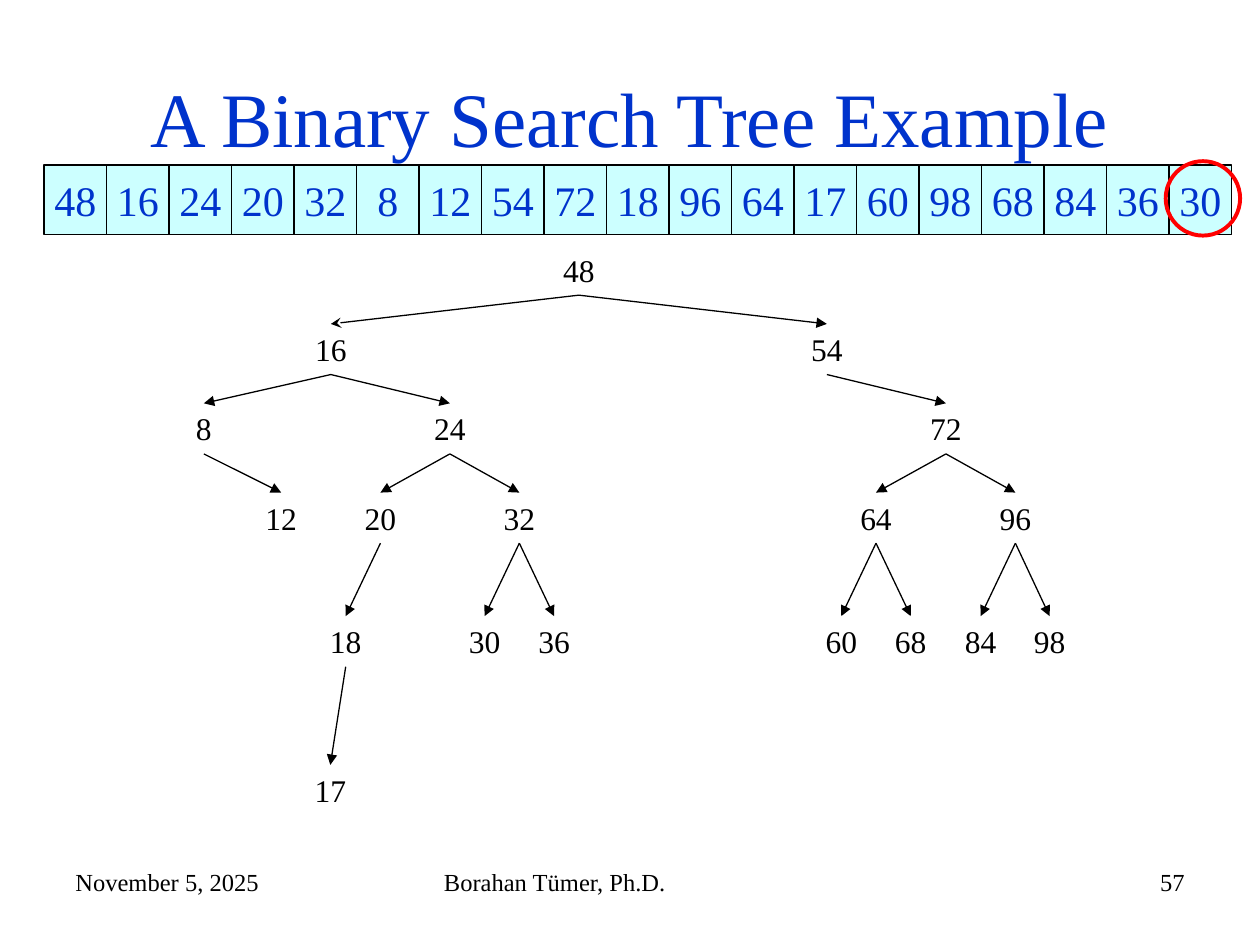
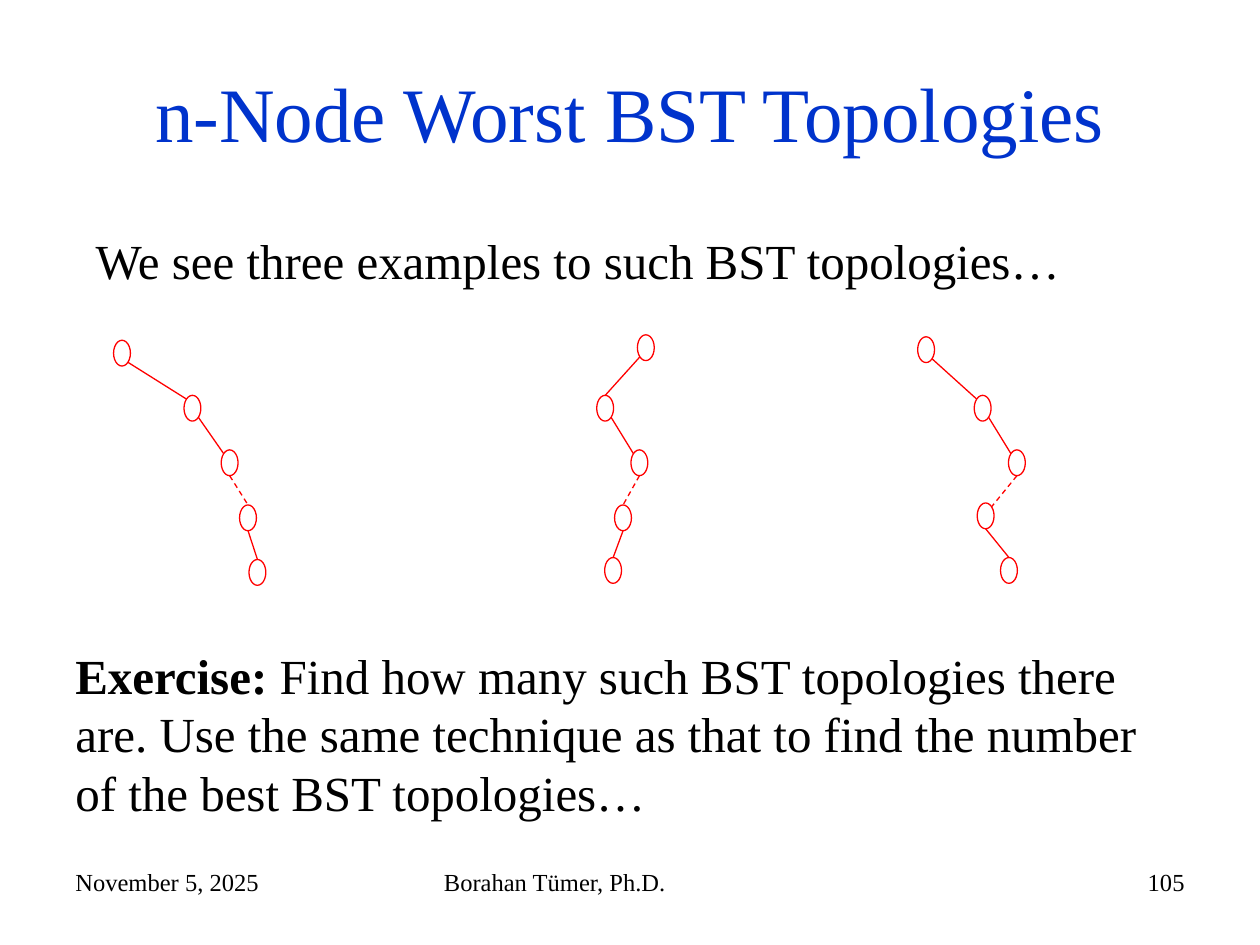
from lxml.etree import SubElement
from pptx import Presentation
from pptx.dml.color import RGBColor
from pptx.enum.dml import MSO_LINE
from pptx.enum.shapes import MSO_CONNECTOR, MSO_SHAPE
from pptx.enum.text import MSO_ANCHOR, PP_ALIGN
from pptx.oxml.ns import qn
from pptx.util import Cm, Pt

BLUE = RGBColor(0x00, 0x33, 0xCC)
CYAN = RGBColor(0xCC, 0xFF, 0xFF)
RED = RGBColor(0xFF, 0x00, 0x00)
BLACK = RGBColor(0x00, 0x00, 0x00)
WHITE = RGBColor(0xFF, 0xFF, 0xFF)
FONT = "Times New Roman"

KEYS = [48, 16, 24, 20, 32, 8, 12, 54, 72, 18, 96, 64, 17, 60, 98, 68, 84, 36, 30]
KEY_CENTERS = {
    48: 11.67, 16: 6.67, 54: 16.67, 8: 4.11, 24: 9.07, 72: 19.07, 12: 5.67,
    20: 7.67, 32: 10.47, 64: 17.66, 96: 20.47, 18: 6.97, 30: 9.77, 36: 11.17,
    60: 16.96, 68: 18.36, 84: 19.77, 98: 21.16, 17: 6.66,
}
LEVEL_TOPS = [4.93, 6.53, 8.13, 9.93, 12.42, 15.42]
KEY_WIDTH, KEY_HEIGHT = 1.14, 1.02
CELL_LEFT, CELL_TOP, CELL_WIDTH, CELL_HEIGHT = 0.89, 3.33, 1.26, 1.4

NODE_WIDTH, NODE_HEIGHT = 0.34, 0.52
TOP, BOTTOM = (0, -1), (0, 1)
UPPER_LEFT, UPPER_RIGHT = (-0.71, -0.71), (0.71, -0.71)
LOWER_LEFT, LOWER_RIGHT = (-0.71, 0.71), (0.71, 0.71)
DOWN_RIGHT = (LOWER_RIGHT, UPPER_LEFT)
STRAIGHT_DOWN = (BOTTOM, TOP)
DASHED_LINK = 2
CHAINS = [
    ([(2.46, 7.12), (3.88, 8.23), (4.63, 9.33), (5, 10.44), (5.19, 11.54)],
     [DOWN_RIGHT, DOWN_RIGHT, STRAIGHT_DOWN, STRAIGHT_DOWN]),
    ([(13.02, 7.01), (12.2, 8.23), (12.89, 9.33), (12.56, 10.44), (12.36, 11.5)],
     [(LOWER_LEFT, TOP), DOWN_RIGHT, STRAIGHT_DOWN, STRAIGHT_DOWN]),
    ([(18.67, 7.05), (19.81, 8.23), (20.5, 9.33), (19.87, 10.4), (20.34, 11.5)],
     [DOWN_RIGHT, DOWN_RIGHT, (BOTTOM, UPPER_RIGHT), STRAIGHT_DOWN]),
]


def write_runs(shape, runs, size, color=BLACK, align=PP_ALIGN.LEFT,
               anchor=MSO_ANCHOR.TOP, wrap=True):
    """Fill the text frame of a shape with (text, bold) runs."""
    frame = shape.text_frame
    frame.word_wrap = wrap
    frame.vertical_anchor = anchor
    paragraph = frame.paragraphs[0]
    paragraph.alignment = align
    for text, bold in runs:
        run = paragraph.add_run()
        run.text = text
        run.font.name = FONT
        run.font.size = Pt(size)
        run.font.bold = bold
        run.font.color.rgb = color


def add_text(slide, left, top, width, height, runs, size, **style):
    """Add a text box and return it."""
    box = slide.shapes.add_textbox(Cm(left), Cm(top), Cm(width), Cm(height))
    write_runs(box, runs, size, **style)
    return box


def add_outlined(slide, kind, left, top, width, height, line_color, fill=None, weight=0.75):
    """Add a preset shape with an outline and an optional fill."""
    shape = slide.shapes.add_shape(kind, Cm(left), Cm(top), Cm(width), Cm(height))
    shape.shadow.inherit = False
    if fill is None:
        shape.fill.background()
    else:
        shape.fill.solid()
        shape.fill.fore_color.rgb = fill
    shape.line.color.rgb = line_color
    shape.line.width = Pt(weight)
    return shape


def add_line(slide, color, start=(0, 0), end=(0, 0)):
    """Add a thin straight connector without a shadow."""
    ends = [Cm(value) for value in (*start, *end)]
    connector = slide.shapes.add_connector(MSO_CONNECTOR.STRAIGHT, *ends)
    connector.line.color.rgb = color
    connector.line.width = Pt(0.75)
    SubElement(connector.element.spPr, qn("a:effectLst"))
    return connector


def add_arrow(slide, parent_box, child_box, head):
    """Join the bottom of one box to the top of another with an arrow."""
    arrow = add_line(slide, BLACK)
    arrow.begin_connect(parent_box, 2)
    arrow.end_connect(child_box, 0)
    SubElement(arrow.line._get_or_add_ln(), qn("a:tailEnd"), type=head)


def add_frame(presentation, title, title_top, number):
    """Add a slide with its title and footer."""
    slide = presentation.slides.add_slide(presentation.slide_layouts[6])
    add_text(slide, 1.27, title_top, 22.86, 3.18, [(title, False)], 44,
             color=BLUE, align=PP_ALIGN.CENTER, anchor=MSO_ANCHOR.MIDDLE)
    footers = [
        (1.27, 5.92, "November 5, 2025", PP_ALIGN.LEFT),
        (8.7, 8.05, "Borahan Tümer, Ph.D.", PP_ALIGN.LEFT),
        (18.21, 5.92, str(number), PP_ALIGN.RIGHT),
    ]
    for left, width, text, align in footers:
        add_text(slide, left, 17.35, width, 1.32, [(text, False)], 14, align=align)
    return slide


def add_key_row(slide):
    """Draw the keys as a row of cells and circle the last one."""
    for index, key in enumerate(KEYS):
        cell = add_outlined(slide, MSO_SHAPE.RECTANGLE, CELL_LEFT + index * CELL_WIDTH,
                            CELL_TOP, CELL_WIDTH, CELL_HEIGHT, BLACK, CYAN)
        write_runs(cell, [(str(key), False)], 24, color=BLUE, align=PP_ALIGN.CENTER,
                   anchor=MSO_ANCHOR.MIDDLE, wrap=False)
    add_outlined(slide, MSO_SHAPE.OVAL, 23.5, 3.25, 1.5, 1.5, RED, weight=2.25)


def find_parents(keys):
    """Insert keys into a binary search tree and map each to its parent and level."""
    children, places = {}, {}
    for key in keys:
        parent, level, current = None, 0, keys[0]
        while current in places:
            parent, level = current, level + 1
            current = children.get((parent, key > parent))
        children[parent, parent is not None and key > parent] = key
        places[key] = (parent, level)
    return places


def add_search_tree(slide):
    """Draw the tree that results from inserting the keys in order."""
    boxes = {}
    for key, (parent, level) in find_parents(KEYS).items():
        boxes[key] = add_text(slide, KEY_CENTERS[key] - KEY_WIDTH / 2, LEVEL_TOPS[level],
                              KEY_WIDTH, KEY_HEIGHT, [(str(key), False)], 18,
                              align=PP_ALIGN.CENTER, wrap=False)
        if parent is not None:
            head = "stealth" if key == 16 else "triangle"
            add_arrow(slide, boxes[parent], boxes[key], head)


def rim_point(center, direction):
    """Return the point on a node's rim in the given direction."""
    return (center[0] + direction[0] * NODE_WIDTH / 2,
            center[1] + direction[1] * NODE_HEIGHT / 2)


def add_chain(slide, centers, links):
    """Draw a chain of nodes with one dashed link."""
    for x, y in centers:
        add_outlined(slide, MSO_SHAPE.OVAL, x - NODE_WIDTH / 2, y - NODE_HEIGHT / 2,
                     NODE_WIDTH, NODE_HEIGHT, RED, WHITE)
    for index, (leave, arrive) in enumerate(links):
        line = add_line(slide, RED, rim_point(centers[index], leave),
                        rim_point(centers[index + 1], arrive))
        if index == DASHED_LINK:
            line.line.dash_style = MSO_LINE.DASH


def main():
    """Build both slides and save the presentation."""
    presentation = Presentation()
    presentation.slide_width, presentation.slide_height = Cm(25.4), Cm(19.05)

    tree_slide = add_frame(presentation, "A Binary Search Tree Example", 0.76, 57)
    add_key_row(tree_slide)
    add_search_tree(tree_slide)

    worst_slide = add_frame(presentation, "n-Node Worst BST Topologies", 0.66, 105)
    add_text(worst_slide, 1.68, 4.52, 22.02, 2.24,
             [("We see three examples to such BST topologies…", False)], 28)
    for centers, links in CHAINS:
        add_chain(worst_slide, centers, links)
    add_text(worst_slide, 1.27, 12.88, 22.02, 4.62, [
        ("Exercise:", True),
        (" Find how many such BST topologies there are. Use the same technique "
         "as that to find the number of the best BST topologies…", False),
    ], 28)

    presentation.save("out.pptx")


if __name__ == "__main__":
    main()
